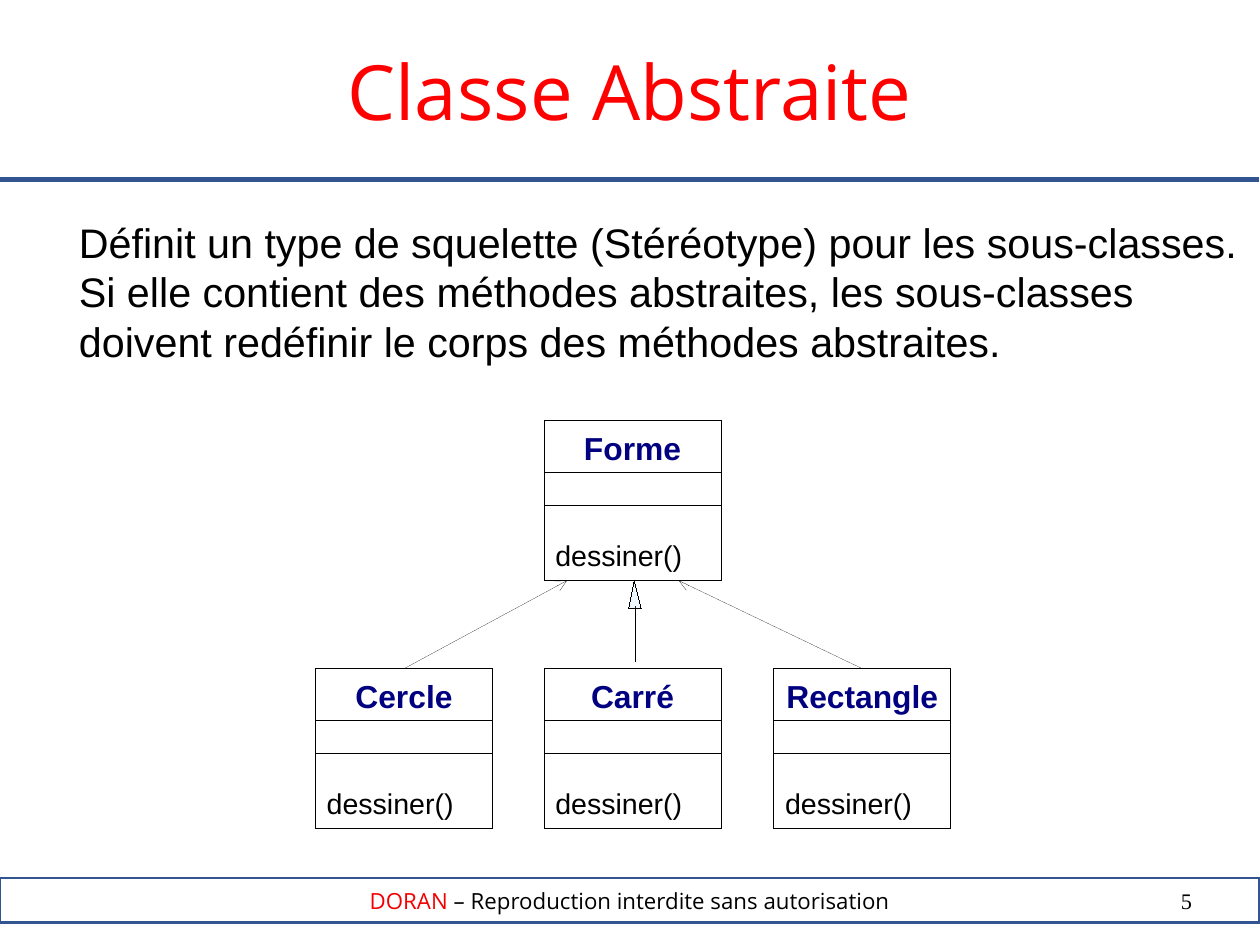
from dataclasses import dataclass

from lxml import etree
from pptx import Presentation, util as u
from pptx.dml.color import RGBColor
from pptx.enum import shapes, text
from pptx.oxml import ns

BLACK, NAVY, BLUE, RED = "000000", "000080", "325491", "FF0000"
SLIDE_W, SLIDE_H = u.Emu(10080625), u.Emu(7559675)
BANNER_W = 11.02
CLASS_W, CLASS_H = 1.55, 1.4
DIVIDERS = (0.45, 0.74)
CHILD_TOP, PARENT_BOTTOM = 5.85, 5.08
DEFINITION = (
    "Définit un type de squelette (Stéréotype) pour les sous-classes.",
    "Si elle contient des méthodes abstraites, les sous-classes",
    "doivent redéfinir le corps des méthodes abstraites.",
)


@dataclass
class UmlClass:
    name: str
    left: float
    top: float
    method: str = "dessiner()"


PARENT = UmlClass("Forme", 4.76, 3.68)
CHILDREN = [
    UmlClass(name, left, CHILD_TOP)
    for name, left in (("Cercle", 2.76), ("Carré", 4.76), ("Rectangle", 6.77))
]


def colour(value: str) -> RGBColor:
    return RGBColor.from_string(value)


def style_font(font, name: str, size: float, value: str, bold: bool = False) -> None:
    font.name, font.size, font.bold = name, u.Pt(size), bold
    font.color.rgb = colour(value)


def style_line(line, value: str, width: float):
    """Format a line, writing a zero width explicitly for hairlines."""
    line.color.rgb = colour(value)
    outline = line._get_or_add_ln()
    outline.set("w", str(int(u.Pt(width))))
    return outline


def place(shape, left: float, top: float, width: float, height: float) -> None:
    shape.left, shape.top = u.Inches(left), u.Inches(top)
    shape.width, shape.height = u.Inches(width), u.Inches(height)


def set_frame(frame, anchor, side: float = 0.1, edge: float = 0.05, wrap: bool = True) -> None:
    frame.word_wrap, frame.auto_size = wrap, text.MSO_AUTO_SIZE.NONE
    frame.vertical_anchor = anchor
    frame.margin_left = frame.margin_right = u.Inches(side)
    frame.margin_top = frame.margin_bottom = u.Inches(edge)


def add_line(slide, start: tuple, end: tuple, value: str = BLACK, width: float = 0,
             arrow: bool = False):
    line = slide.shapes.add_connector(
        shapes.MSO_CONNECTOR.STRAIGHT, *(u.Inches(v) for v in (*start, *end)))
    outline = style_line(line.line, value, width)
    if arrow:
        etree.SubElement(outline, ns.qn("a:tailEnd"), type="arrow")
    etree.SubElement(line._element.spPr, ns.qn("a:effectLst"))
    return line


def add_outline(slide, left: float, top: float, width: float, height: float,
                value: str, line_width: float):
    """Add an unfilled rectangle."""
    box = slide.shapes.add_shape(
        shapes.MSO_SHAPE.RECTANGLE, *(u.Inches(v) for v in (left, top, width, height)))
    box.shadow.inherit = False
    box.fill.background()
    style_line(box.line, value, line_width)
    return box


def add_class(slide, uml: UmlClass):
    box = add_outline(slide, uml.left, uml.top, CLASS_W, CLASS_H, BLACK, 0)
    frame = box.text_frame
    set_frame(frame, text.MSO_ANCHOR.TOP, edge=0.07, wrap=False)
    frame.text = f"{uml.name}\n{uml.method}"
    name, method = frame.paragraphs
    name.alignment, method.alignment = text.PP_ALIGN.CENTER, text.PP_ALIGN.LEFT
    method.space_before = u.Pt(45)
    style_font(name.runs[0].font, "Arial", 20, NAVY, bold=True)
    style_font(method.runs[0].font, "Arial", 18, BLACK)
    for offset in DIVIDERS:
        y = uml.top + offset
        add_line(slide, (uml.left, y), (uml.left + CLASS_W, y))
    return box


def add_inheritance_head(slide) -> None:
    """Add the hollow triangle under the parent class."""
    tip, *base = [(u.Inches(x), u.Inches(y)) for x, y in
                  ((5.55, PARENT_BOTTOM), (5.61, 5.32), (5.5, 5.32))]
    builder = slide.shapes.build_freeform(*tip)
    builder.add_line_segments(base, close=True)
    head = builder.convert_to_shape()
    head.shadow.inherit = False
    head.fill.solid()
    head.fill.fore_color.rgb = colour("99CCFF")
    fill = head._element.spPr.find(ns.qn("a:solidFill"))
    etree.SubElement(fill[0], ns.qn("a:alpha"), val="15000")
    style_line(head.line, BLACK, 0)


def add_footer(slide) -> None:
    banner = add_outline(slide, 0, 7.68, BANNER_W, 0.39, BLUE, 1.42)
    set_frame(banner.text_frame, text.MSO_ANCHOR.MIDDLE, 0.01, 0.01)
    notice = banner.text_frame.paragraphs[0]
    notice.alignment = text.PP_ALIGN.CENTER
    for words, value in (("DORAN", "F20000"),
                         (" – Reproduction interdite sans autorisation", BLACK)):
        run = notice.add_run()
        run.text = words
        style_font(run.font, "Open Sans", 14, value)

    number = slide.shapes.add_textbox(*(u.Inches(v) for v in (7.9, 7.76, 2.53, 0.42)))
    set_frame(number.text_frame, text.MSO_ANCHOR.TOP, 0, 0)
    number.text_frame.text = "5"
    paragraph = number.text_frame.paragraphs[0]
    paragraph.alignment = text.PP_ALIGN.RIGHT
    style_font(paragraph.runs[0].font, "Times New Roman", 14, BLACK)


def fill_placeholders(slide) -> None:
    title, body = slide.shapes.title, slide.placeholders[1]
    place(title, 0.59, 0.33, 9.84, 0.87)
    set_frame(title.text_frame, text.MSO_ANCHOR.TOP, edge=0.06)
    title.text_frame.text = "Classe Abstraite"
    heading = title.text_frame.paragraphs[0]
    heading.alignment = text.PP_ALIGN.CENTER
    style_font(heading.runs[0].font, "Open Sans", 48, RED)

    place(body, 0.59, 1.85, 10.43, 2.29)
    set_frame(body.text_frame, text.MSO_ANCHOR.TOP)
    body.text_frame.text = "\n".join(DEFINITION)
    for paragraph in body.text_frame.paragraphs:
        paragraph.space_before = u.Pt(0)
        properties = paragraph._p.get_or_add_pPr()
        properties.set("marL", "0")
        properties.set("indent", "0")
        etree.SubElement(properties, ns.qn("a:buNone"))
        style_font(paragraph.runs[0].font, "Arial", 26, BLACK)


def main() -> None:
    deck = Presentation()
    deck.slide_width, deck.slide_height = SLIDE_W, SLIDE_H
    slide = deck.slides.add_slide(deck.slide_layouts[1])
    fill_placeholders(slide)
    add_footer(slide)
    add_line(slide, (0, 1.57), (BANNER_W, 1.57), BLUE, 2.83)

    add_class(slide, PARENT)
    circle, _, rectangle = [add_class(slide, child) for child in CHILDREN]
    add_line(slide, (5.56, 5.79), (5.56, 5.31))
    add_inheritance_head(slide)
    for child, uml, end_x in ((circle, CHILDREN[0], 4.96), (rectangle, CHILDREN[2], 5.94)):
        start = (uml.left + CLASS_W / 2, CHILD_TOP)
        link = add_line(slide, start, (end_x, PARENT_BOTTOM), arrow=True)
        link.begin_connect(child, 0)
    deck.save("out.pptx")


if __name__ == "__main__":
    main()
